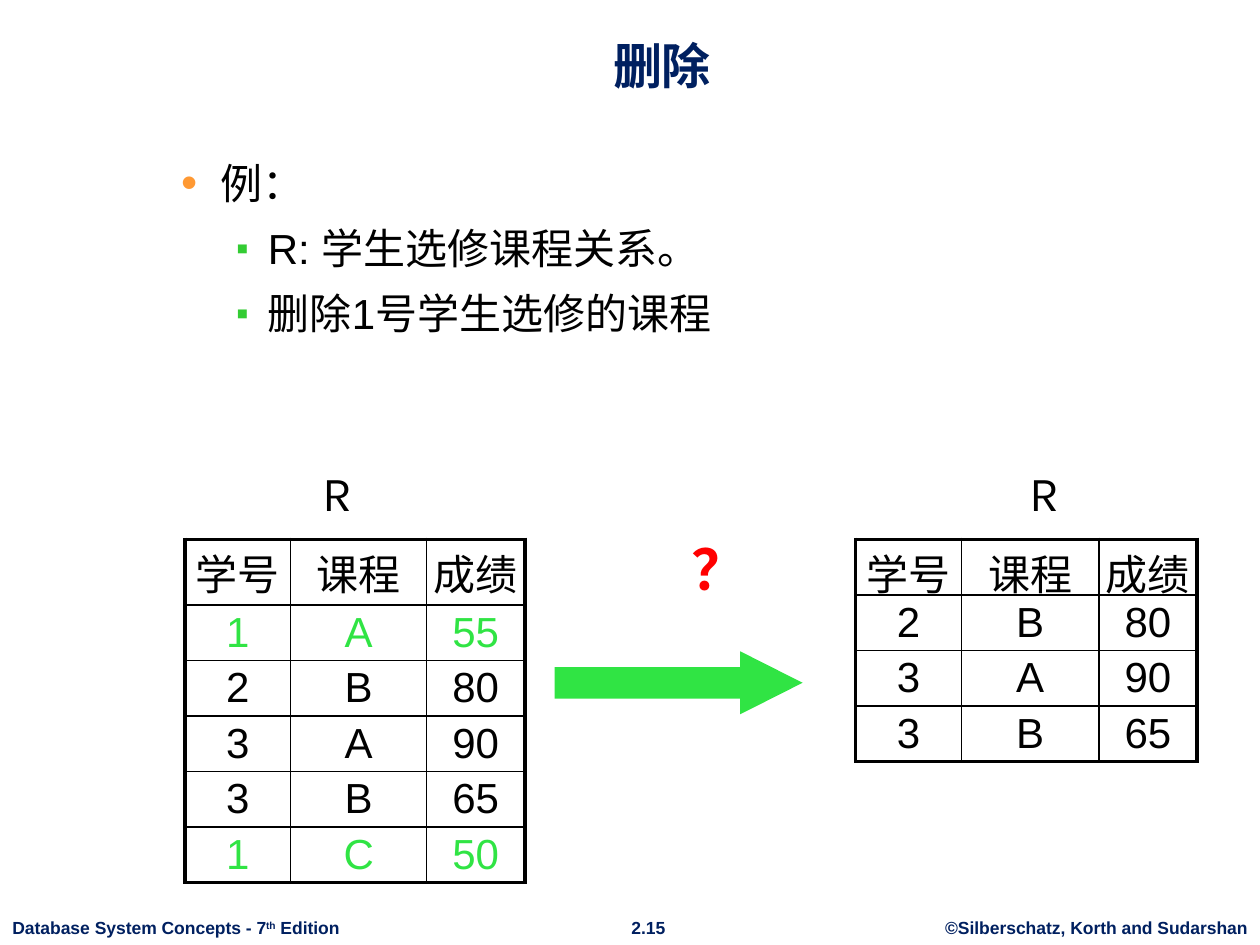
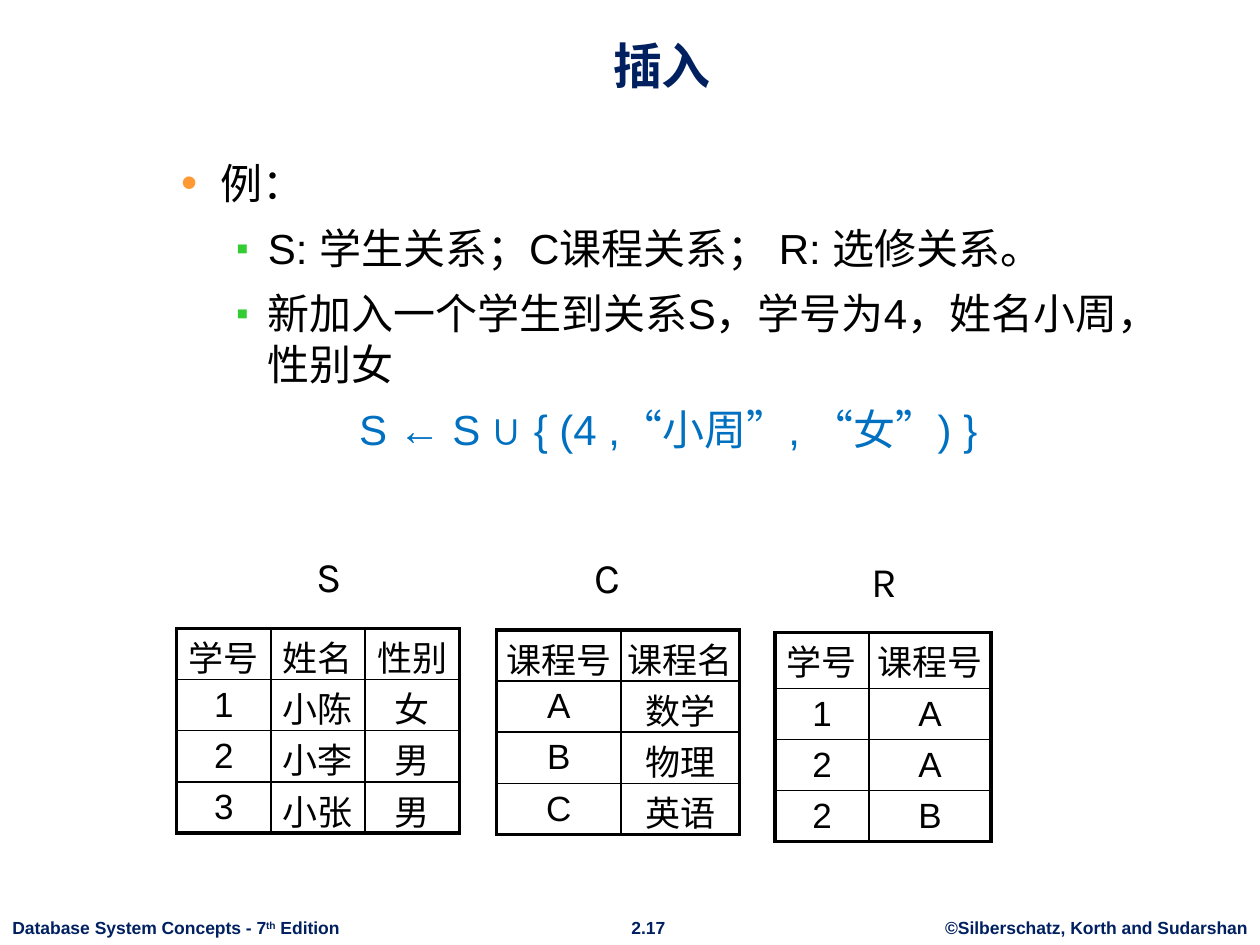
from lxml import etree
from pptx import Presentation
from pptx.dml.color import RGBColor
from pptx.enum.shapes import MSO_SHAPE
from pptx.enum.text import MSO_ANCHOR, PP_ALIGN
from pptx.oxml.ns import qn
from pptx.util import Cm, Pt

CENTER, LEFT = PP_ALIGN.CENTER, PP_ALIGN.LEFT
MIDDLE, BOTTOM = MSO_ANCHOR.MIDDLE, MSO_ANCHOR.BOTTOM
ARROW = MSO_SHAPE.RIGHT_ARROW

BLACK = RGBColor(0, 0, 0)
WHITE = RGBColor(255, 255, 255)
NAVY = RGBColor(0x00, 0x20, 0x60)
BLUE = RGBColor(0x00, 0x70, 0xC0)
GREEN = RGBColor(0x30, 0xE4, 0x44)
RED = RGBColor(255, 0, 0)
ORANGE = RGBColor(0xFF, 0x99, 0x33)
LEAF = RGBColor(0x33, 0xCC, 0x33)

# Text formats
HEAD = {"name": "Arial", "size": Pt(28), "bold": True}
FOOT = {"name": "Arial", "size": Pt(10), "bold": True}
BODY = {"name": "Arial", "size": Pt(24), "bold": False}
MARK = {"name": "Karla", "size": Pt(32), "bold": True}

# Paragraph kinds: left margin, hang, level, bullet (sign, colour, percent)
KINDS = {
    "main": (2.06, 0.79, 0, ("•", ORANGE, 110)),
    "sub": (3.02, 0.64, 1, ("▪", LEAF, 85)),
    "math": (2.06, 0.79, 0, None),
}

# Content: places and sizes in centimetres
SLIDES = [
    {
        "title": "删除", "page": "2.15", "size": 24, "label": 28, "side": 0.1,
        "body": [("main", "例："),
                 ("sub", "R: 学生选修课程关系。"),
                 ("sub", "删除1号学生选修的课程")],
        "tables": [
            {"name": "R", "tag": (5.64, 9.19), "at": (3.73, 10.87),
             "cols": (2.13, 2.74, 1.98), "top": 1.33, "row": 1.05,
             "green": (1, 5),
             "data": ["学号 课程 成绩", "1 A 55", "2 B 80",
                      "3 A 90", "3 B 65", "1 C 50"]},
            {"name": "R", "tag": (19.89, 9.19), "at": (17.25, 10.87),
             "cols": (2.13, 2.77, 1.98), "top": 1.12, "row": 1.12,
             "data": ["学号 课程 成绩", "2 B 80", "3 A 90", "3 B 65"]},
        ],
        "arrow": (11.18, 13.13, 5.0, 1.27),
        "ask": (13.69, 10.44, 1.65, 1.65),
    },
    {
        "title": "插入", "page": "2.17", "size": 20, "label": 24, "side": 0,
        "body": [("main", "例："),
                 ("sub", "S: 学生关系；C课程关系； R: 选修关系。"),
                 ("sub", "新加入一个学生到关系S，学号为4，姓名小周，性别女"),
                 ("math", "S ← S ∪ { (4 ,“小周”, “女”) }")],
        "tables": [
            {"name": "S", "tag": (5.46, 10.97), "at": (3.56, 12.67),
             "cols": (1.9, 1.9, 1.9), "top": 1.03, "row": 1.03,
             "data": ["学号 姓名 性别", "1 小陈 女", "2 小李 男", "3 小张 男"]},
            {"name": "C", "tag": (11.07, 11.0), "at": (10.01, 12.7),
             "cols": (2.51, 2.39), "top": 1.03, "row": 1.03,
             "data": ["课程号 课程名", "A 数学", "B 物理", "C 英语"]},
            {"name": "R", "tag": (16.66, 11.07), "at": (15.62, 12.75),
             "cols": (1.9, 2.46), "top": 1.13, "row": 1.03,
             "data": ["学号 课程号", "1 A", "2 A", "2 B"]},
        ],
    },
]


def style(font, form, color):
    for key, value in form.items():
        setattr(font, key, value)
    font.color.rgb = color


def box(slide, place, wrap=True):
    frame = slide.shapes.add_textbox(*map(Cm, place)).text_frame
    frame.word_wrap = wrap
    return frame


def write(para, text, form, color, align=CENTER):
    para.alignment = align
    run = para.add_run()
    run.text = text
    style(run.font, form, color)
    return run


def add_title(slide, text):
    title = slide.shapes.title
    title.left, title.top, title.width, title.height = map(
        Cm, (2.13, 0.33, 22.43, 1.7))
    frame = title.text_frame
    frame.vertical_anchor = BOTTOM
    write(frame.paragraphs[0], text, HEAD, NAVY)


def add_foot(slide, page):
    notes = [((0, 7.14), LEFT, "Database System Concepts - 7"),
             ((12.45, 1.24), CENTER, page),
             ((18.8, 6.6), CENTER, "©Silberschatz, Korth and Sudarshan")]
    for (left, width), align, text in notes:
        para = box(slide, (left, 18.36, width, 0.69), False).paragraphs[0]
        write(para, text, FOOT, NAVY, align)
        if align == LEFT:
            high = write(para, "th", FOOT, NAVY, align)
            high.font._element.set("baseline", "30000")
            write(para, " Edition", FOOT, NAVY, align)


def add_bullet(props, sign, color, size):
    tint = etree.SubElement(props, qn("a:buClr"))
    etree.SubElement(tint, qn("a:srgbClr"), val=str(color))
    etree.SubElement(props, qn("a:buSzPct"), val=str(size * 1000))
    etree.SubElement(props, qn("a:buFont"), typeface="Arial")
    etree.SubElement(props, qn("a:buChar"), char=sign)


def add_body(slide, lines):
    frame = box(slide, (2.13, 3.05, 21.41, 13.61))
    for i, (kind, text) in enumerate(lines):
        para = frame.add_paragraph() if i else frame.paragraphs[0]
        margin, hang, para.level, bullet = KINDS[kind]
        if i:
            para.space_before = Pt(8.4)
        props = para._p.get_or_add_pPr()
        props.set("marL", str(Cm(margin)))
        props.set("indent", str(-Cm(hang)))
        if bullet:
            add_bullet(props, *bullet)
            write(para, text, BODY, BLACK, LEFT)
        else:
            write(para, text, BODY, BLUE)


def add_edges(cell, outer):
    """Draw thick lines on the outer sides and thin lines elsewhere."""
    props = cell._tc.get_or_add_tcPr()
    for i, (side, thick) in enumerate(outer.items()):
        line = etree.Element(qn("a:ln" + side), w=str(Pt(2.25 if thick else 1)))
        fill = etree.SubElement(line, qn("a:solidFill"))
        etree.SubElement(fill, qn("a:srgbClr"), val=str(BLACK))
        props.insert(i, line)


def add_grid(slide, item, size, side):
    data = [line.split() for line in item["data"]]
    rows, cols = len(data), len(item["cols"])
    high = [item["top"]] + [item["row"]] * (rows - 1)
    place = (*item["at"], sum(item["cols"]), sum(high))
    table = slide.shapes.add_table(rows, cols, *map(Cm, place)).table
    table.first_row = table.horz_banding = False
    for col, width in zip(table.columns, item["cols"]):
        col.width = Cm(width)
    for row, height in zip(table.rows, high):
        row.height = Cm(height)
    form = {**BODY, "size": Pt(size)}
    pads = {"margin_left": Cm(side), "margin_right": Cm(side),
            "margin_top": Cm(0.05), "margin_bottom": Cm(0.05),
            "vertical_anchor": MIDDLE}
    for r, line in enumerate(data):
        color = GREEN if r in item.get("green", ()) else BLACK
        for c, text in enumerate(line):
            cell = table.cell(r, c)
            for key, value in pads.items():
                setattr(cell, key, value)
            if r:
                cell.fill.background()
            else:
                cell.fill.solid()
                cell.fill.fore_color.rgb = WHITE
            add_edges(cell, {"L": c == 0, "R": c == cols - 1,
                             "T": r == 0, "B": r == rows - 1})
            write(cell.text_frame.paragraphs[0], text, form, color)


def add_arrow(slide, place):
    arrow = slide.shapes.add_shape(ARROW, *map(Cm, place))
    arrow.shadow.inherit = False
    arrow.adjustments[0], arrow.adjustments[1] = 0.5, 0.99
    arrow.fill.solid()
    arrow.fill.fore_color.rgb = GREEN
    arrow.line.fill.background()


def main():
    deck = Presentation()
    deck.slide_width, deck.slide_height = Cm(25.4), Cm(19.05)
    for page in SLIDES:
        slide = deck.slides.add_slide(deck.slide_layouts[5])
        add_foot(slide, page["page"])
        add_title(slide, page["title"])
        add_body(slide, page["body"])
        # Relations with their names
        label = {"name": "Karla", "size": Pt(page["label"])}
        for item in page["tables"]:
            add_grid(slide, item, page["size"], page["side"])
            tag = box(slide, (*item["tag"], 2.34, 1.4))
            write(tag.paragraphs[0], item["name"], label, BLACK)
        # Change from old to new relation
        if "arrow" in page:
            add_arrow(slide, page["arrow"])
            para = box(slide, page["ask"], False).paragraphs[0]
            para.line_spacing = 1.15
            write(para, "？", MARK, RED)
    deck.save("out.pptx")


if __name__ == "__main__":
    main()
